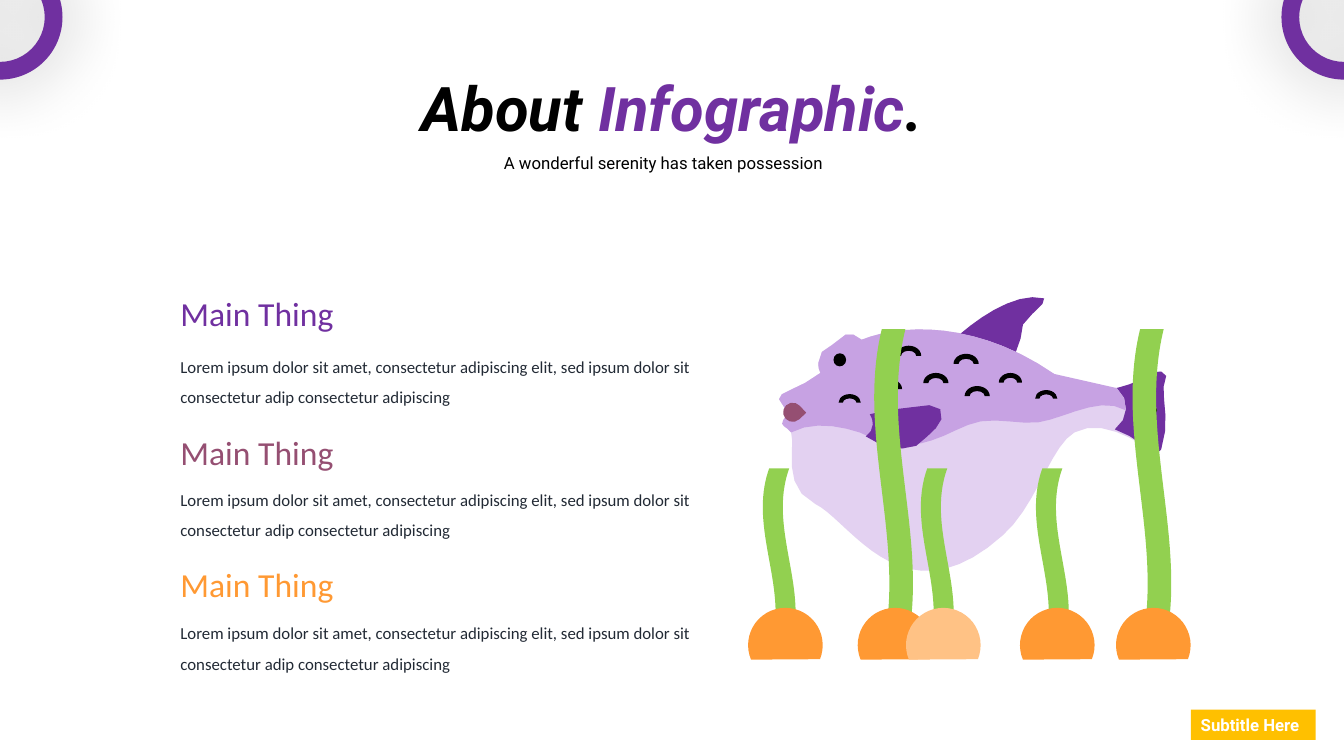
from collections import namedtuple
from math import dist
from lxml import etree
from pptx import Presentation
from pptx.dml.color import RGBColor
from pptx.enum.shapes import MSO_SHAPE
from pptx.enum.text import MSO_AUTO_SIZE, PP_ALIGN
from pptx.oxml.ns import qn
from pptx.util import Pt

ARC, CHORD, DONUT = MSO_SHAPE.BLOCK_ARC, MSO_SHAPE.CHORD, MSO_SHAPE.DONUT
OVAL, RECT = MSO_SHAPE.OVAL, MSO_SHAPE.RECTANGLE
TEAR, WAVE = MSO_SHAPE.TEAR, MSO_SHAPE.WAVE
LEFT, CENTER = PP_ALIGN.LEFT, PP_ALIGN.CENTER
GROW = MSO_AUTO_SIZE.SHAPE_TO_FIT_TEXT

Box = namedtuple("Box", "x y w h")


class Theme:
    purple, lilac, pale = "7030A0", "C7A2E3", "E3D1F1"
    plum, orange, peach = "954F72", "FF9933", "FFC285"
    green, gold, ink = "92D050", "FFC000", "222A35"
    black, white = "000000", "FFFFFF"
    display, text = "Roboto", "Calibri"
    title_size, heading_size, body_size = 44, 24, 12


# Fish outlines on a grid 384 wide: a start point, then Bezier triples
FISH_GRID = 384
BELLY = """384,78 382,74 377,72 373,74 367,78 357,84 340,89 302,100 273,76 273,76
196,23 122,26 82,42 77,39 70,33 66,37 52,51 39,49 39,65 39,68 39,72 41,75
21,91 -2,94 0,101 1,111 13,115 13,115 8,116 4,119 4,122 3,125 6,120 12,134
17,147 1,188 36,205 71,222 124,324 222,236 256,206 269,148 293,134
317,120 354,140 368,153 372,157 378,155 379,151 390,119 376,95 384,78"""
TAIL = """384,78 382,74 377,72 373,74 363,81 345,88 335,90 348,101 347,121 333,131
348,136 361,146 368,153 372,157 378,155 379,151 390,119 376,94 384,78"""
TOP_FIN = """235,54 242,46 238,36 242,27 247,18 269,3 263,1 237,-6 201,18 180,36
197,39 216,45 235,54"""
BACK = """335,90 335,90 273,76 273,76 196,23 122,26 82,42 77,39 70,33 66,37
50,53 39,49 39,65 39,68 39,72 41,75 21,91 -2,94 0,101 1,111 13,115 13,115
8,116 5,119 4,122 2,124 3,127 5,128 7,129 9,131 12,134 32,123 59,127 80,134
84,136 89,138 95,140 98,137 99,133 99,129 99,126 98,124 97,121
112,116 116,117 139,114 146,113 151,119 148,125 146,131 143,135 138,140
136,143 134,145 132,146 138,146 144,144 151,142 168,137 183,126 200,123
219,120 239,126 257,124 284,120 318,97 344,112 345,104 342,96 335,90"""
SIDE_FIN = """149,107 116,111 110,111 90,116 92,119 93,122 93,126 93,131 90,135 86,138
96,145 109,149 122,150 134,150 139,147 147,138 154,132 158,128 161,121
165,114 158,106 149,107"""
TAIL_BARS = (
    """358,101 356,101 354,100 354,98 353,96 355,94 357,94 357,94 364,92 369,91
371,90 373,91 374,93 374,95 373,97 371,98 366,99 359,101 358,101""",
    """370,134 370,134 369,134 369,134 364,132 357,131 357,131 355,130 353,128 354,126
354,124 356,123 358,123 359,123 366,125 371,126 373,127 374,129 374,131
373,133 372,134 370,134""",
    """371,116 371,116 358,116 358,116 356,116 354,114 354,112 354,110 356,108 358,108
358,108 371,108 371,108 373,108 375,110 375,112 375,114 373,116 371,116""")
SCALES = [(97, 81, 25, 20), (143, 75, 25, 20), (184, 88, 25, 20), (218, 75, 23, 19),
          (254, 92, 22, 17), (59, 96, 22, 17), (173, 56, 25, 20), (116, 48, 25, 20)]


def paint(shape, color):
    shape.shadow.inherit = False
    shape.fill.solid()
    shape.fill.fore_color.rgb = RGBColor.from_string(color)
    shape.line.fill.background()
    return shape


def add_preset(slide, kind, box, color, rotation=0):
    shape = paint(slide.shapes.add_shape(kind, *map(Pt, box)), color)
    shape.rotation = rotation
    return shape


def style(run, font, size, color, bold=False, italic=False):
    run.font.name, run.font.size = font, Pt(size)
    run.font.bold, run.font.italic = bold, italic
    run.font.color.rgb = RGBColor.from_string(color)


def add_text(slide, box, text, font, size, color, spacing=1, align=LEFT, inset=True):
    frame = slide.shapes.add_textbox(*map(Pt, box)).text_frame
    frame.word_wrap, frame.auto_size = True, GROW
    if not inset:
        frame.margin_left = frame.margin_right = frame.margin_top = frame.margin_bottom = 0
    paragraph = frame.paragraphs[0]
    paragraph.text = text
    paragraph.alignment, paragraph.line_spacing = align, spacing
    style(paragraph.runs[0], font, size, color)


def flatten(outline):
    """Turn a Bezier outline into points, with more of them on longer curves."""
    nodes = [tuple(map(int, pair.split(","))) for pair in outline.split()]
    points = nodes[:1]
    for i in range(1, len(nodes), 3):
        curve = nodes[i - 1:i + 3]
        straight = curve[0] == curve[1] and curve[2] == curve[3]
        steps = 1 if straight else max(2, round(sum(map(dist, curve, curve[1:])) / 15))
        for step in range(1, steps + 1):
            t = step / steps
            weights = ((1 - t) ** 3, 3 * t * (1 - t) ** 2, 3 * t * t * (1 - t), t ** 3)
            points.append(tuple(sum(w * node[axis] for w, node in zip(weights, curve))
                                for axis in (0, 1)))
    return points


def draw_fish(slide, box):
    unit = box.w / FISH_GRID

    def place(x, y, w, h):
        return Box(box.x + x * unit, box.y + y * unit, w * unit, h * unit)

    def add_outline(outline, color):
        points = [(Pt(box.x + x * unit), Pt(box.y + y * unit)) for x, y in flatten(outline)]
        builder = slide.shapes.build_freeform(*points[0])
        builder.add_line_segments(points[1:-1], close=True)
        paint(builder.convert_to_shape(), color)

    for outline, color in ((BELLY, Theme.pale), (TAIL, Theme.purple), (TOP_FIN, Theme.purple),
                           (BACK, Theme.lilac), (SIDE_FIN, Theme.purple)):
        add_outline(outline, color)
    add_preset(slide, OVAL, place(54, 55.5, 12.5, 13), Theme.black)
    for bar in TAIL_BARS:
        add_outline(bar, Theme.black)
    for scale in SCALES:
        add_preset(slide, ARC, place(*scale), Theme.black)
    add_preset(slide, TEAR, place(4, 104.5, 19, 19), Theme.plum, 47)


def draw_seabed(slide, box):
    rock, overlap = 53.3, 31.3

    def add_stalk(center, length, width):
        middle = box.y + box.h - rock + overlap - length / 2
        stalk = add_preset(slide, WAVE, Box(box.x + center - length / 2, middle - width / 2,
                                            length, width), Theme.green, 90)
        stalk.adjustments[0], stalk.adjustments[1] = 0.2, 0
        stalk.element.spPr.get_or_add_xfrm().set("flipV", "1")

    def add_rock(left, color=Theme.orange):
        add_preset(slide, CHORD, Box(box.x + left, box.y + box.h - rock, rock, rock),
                   color, 112.1)

    tall, short = (230.4, 28.1), (131, 23.8)
    add_stalk(104, *tall)
    for center in (135.2, 22.3, 217.4):
        add_stalk(center, *short)
    for left, color in ((0, Theme.orange), (78.3, Theme.orange),
                        (112.8, Theme.peach), (194.2, Theme.orange)):
        add_rock(left, color)
    add_stalk(288.5, *tall)
    add_rock(262.8)


def draw_sections(slide, box):
    body = ("Lorem ipsum dolor sit amet, consectetur adipiscing elit, sed ipsum dolor sit "
            "consectetur adip consectetur adipiscing")
    pitch = 95.1
    headings = ((0, Theme.purple), (98.9, Theme.plum), (193.4, Theme.orange))
    for row, (top, color) in enumerate(headings):
        add_text(slide, Box(box.x, box.y + top, 131.8, 28.8), "Main Thing",
                 Theme.text, Theme.heading_size, color, inset=False)
        add_text(slide, Box(box.x, box.y + 38.2 + row * pitch, box.w, 41), body,
                 Theme.text, Theme.body_size, Theme.ink, 1.5, inset=False)


def draw_header(slide, box):
    frame = slide.shapes.add_textbox(*map(Pt, (box.x, box.y, box.w, 60.5))).text_frame
    frame.word_wrap, frame.auto_size = True, GROW
    title = frame.paragraphs[0]
    title.alignment = CENTER
    for words, color in (("About ", Theme.black), ("Infographic", Theme.purple),
                         (".", Theme.black)):
        run = title.add_run()
        run.text = words
        style(run, Theme.display, Theme.title_size, color, True, True)
    add_text(slide, Box(box.x + 144.2, box.y + 52.6, 318.2, 26.6),
             "A wonderful serenity has taken possession",
             Theme.display, Theme.body_size, Theme.black, 1.5, CENTER)


def draw_badge(slide, box):
    frame = add_preset(slide, RECT, box, Theme.gold).text_frame
    frame.word_wrap, frame.auto_size = False, GROW
    frame.text = "Subtitle Here"
    frame.paragraphs[0].alignment = LEFT
    style(frame.paragraphs[0].runs[0], Theme.display, Theme.body_size, Theme.white, True)


def draw_corner_rings(slide, box):
    size = 89.3
    for center in (box.x, box.x + box.w):
        ring = add_preset(slide, DONUT, Box(center - size / 2, box.y - 32.4, size, size),
                          Theme.purple)
        ring.adjustments[0] = 0.142
        # Soft shadow all around
        effects = ring.element.spPr.find(qn("a:effectLst"))
        shadow = etree.SubElement(effects, qn("a:outerShdw"), blurRad=str(Pt(49)),
                                  dist="0", dir="0", algn="ctr", rotWithShape="0")
        tint = etree.SubElement(shadow, qn("a:srgbClr"), val=Theme.black)
        etree.SubElement(tint, qn("a:alpha"), val="33000")


page = Box(0, 0, 960, 540)
deck = Presentation()
deck.slide_width, deck.slide_height = Pt(page.w), Pt(page.h)
slide = deck.slides.add_slide(deck.slide_layouts[6])
draw_fish(slide, Box(556.5, 212.4, 276.5, 195))
draw_seabed(slide, Box(534.3, 235, 316, 252.5))
draw_sections(slide, Box(128.9, 209.5, 373, 270))
draw_header(slide, Box(170.6, 46.1, 619.2, 79))
draw_badge(slide, Box(850.6, 506.9, 89.3, 21.6))
draw_corner_rings(slide, page)
deck.save("out.pptx")
